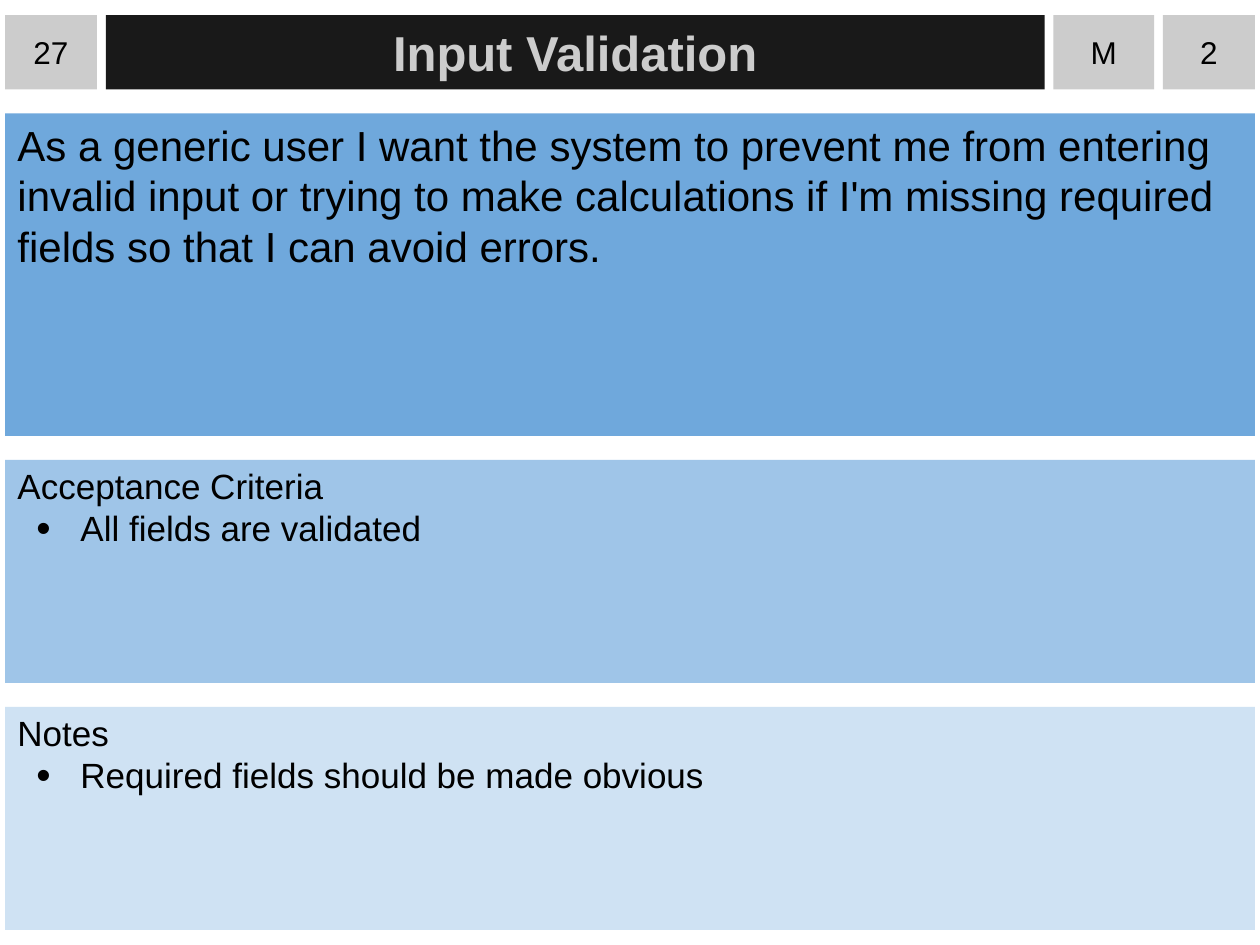
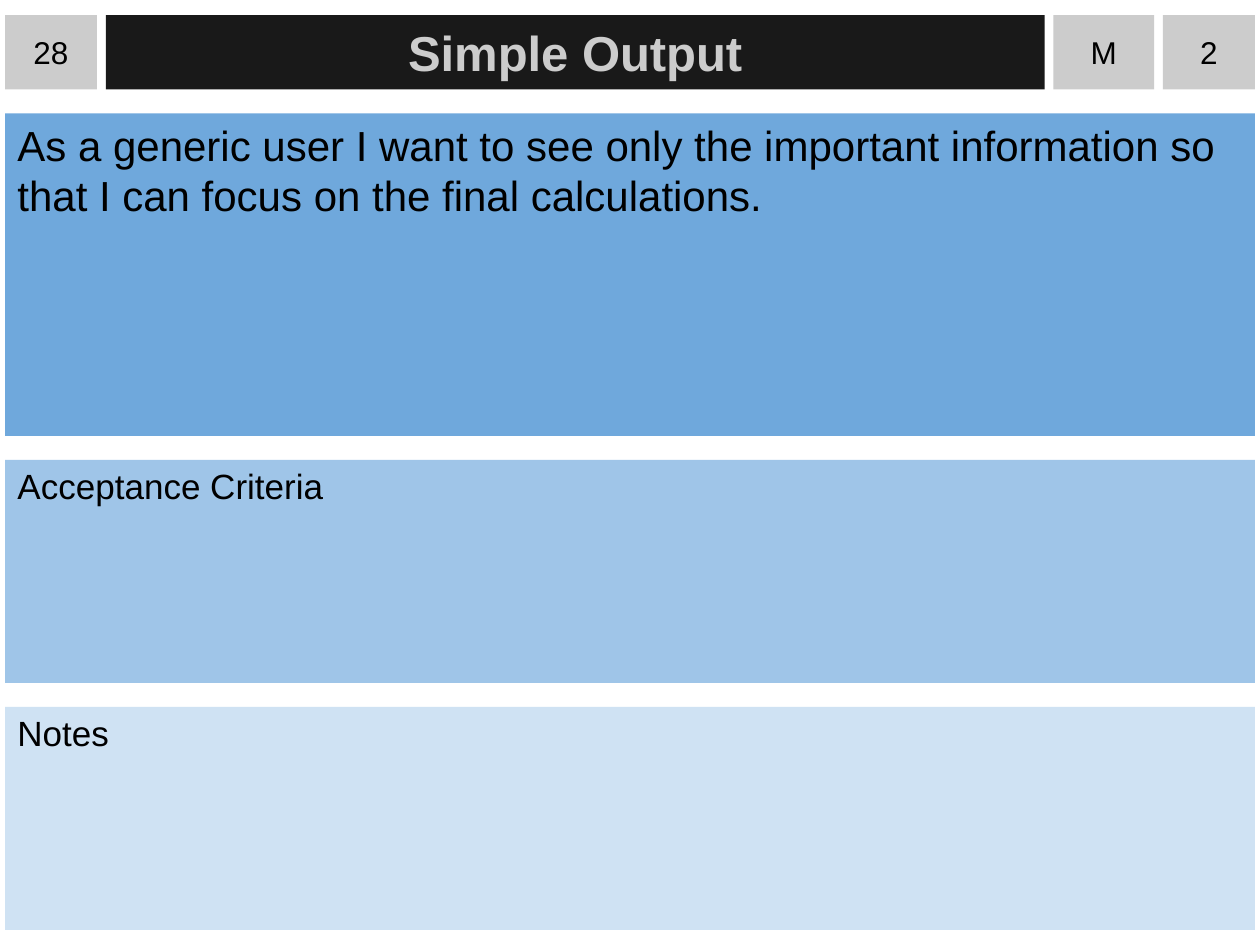
from lxml.etree import SubElement
from pptx import Presentation
from pptx.dml.color import RGBColor
from pptx.enum.shapes import MSO_SHAPE
from pptx.enum.text import MSO_ANCHOR, PP_ALIGN
from pptx.oxml.ns import qn
from pptx.util import Pt

FONT = "Arial"
BLACK, DARK, GREY = "000000", "191919", "CCCCCC"
STORY_BLUE, CRITERIA_BLUE, NOTES_BLUE = "6FA8DC", "9FC5E8", "CFE2F3"

LEFT, TOP, WIDTH = 2.88, 8.64, 714.24
BADGE_W, PRIORITY_W = 52.56, 57.6
HEADER_H, STORY_H, LIST_H = 42.48, 184.32, 127.44
COLUMN_GAP, ROW_GAP = 5.04, 13.68

CARDS = [
    {
        "number": "27",
        "title": "Input Validation",
        "priority": "M",
        "points": "2",
        "story": "As a generic user I want the system to prevent me from entering "
                 "invalid input or trying to make calculations if I'm missing "
                 "required fields so that I can avoid errors.",
        "criteria": ["All fields are validated"],
        "notes": ["Required fields should be made obvious"],
    },
    {
        "number": "28",
        "title": "Simple Output",
        "priority": "M",
        "points": "2",
        "story": "As a generic user I want to see only the important information "
                 "so that I can focus on the final calculations.",
        "criteria": [],
        "notes": [],
    },
]


def color(hex_string):
    return RGBColor.from_string(hex_string)


def add_panel(s, box, fill, anchor=MSO_ANCHOR.TOP, side=7.2, top=3.6):
    sp = s.shapes.add_shape(MSO_SHAPE.RECTANGLE, *(Pt(v) for v in box))
    sp.shadow.inherit = False
    sp.fill.solid()
    sp.fill.fore_color.rgb = color(fill)
    sp.line.fill.background()
    tf = sp.text_frame
    tf.word_wrap = True
    tf.vertical_anchor = anchor
    tf.margin_left = tf.margin_right = Pt(side)
    tf.margin_top, tf.margin_bottom = Pt(top), Pt(3.6)
    return tf


def add_run(p, text, size, font_color=BLACK, bold=False, align=PP_ALIGN.LEFT):
    p.alignment = align
    r = p.add_run()
    r.text = text
    r.font.name = FONT
    r.font.size = Pt(size)
    r.font.bold = bold
    r.font.color.rgb = color(font_color)


def set_bullet(p):
    pPr = p._p.get_or_add_pPr()
    pPr.set("marL", str(Pt(36)))
    pPr.set("indent", str(Pt(-25.2)))
    bullet_color = SubElement(pPr, qn("a:buClr"))
    SubElement(bullet_color, qn("a:srgbClr"), val=BLACK)
    SubElement(pPr, qn("a:buSzPct"), val="117000")
    SubElement(pPr, qn("a:buFont"), typeface=FONT)
    SubElement(pPr, qn("a:buChar"), char="•")


def add_header(s, box, card):
    x, y, width, height = box
    title_w = width - 2 * BADGE_W - PRIORITY_W - 3 * COLUMN_GAP
    cells = [
        (card["number"], BADGE_W, False),
        (card["title"], title_w, True),
        (card["priority"], PRIORITY_W, False),
        (card["points"], BADGE_W, False),
    ]
    for text, cell_w, is_title in cells:
        tf = add_panel(s, (x, y, cell_w, height), DARK if is_title else GREY,
                       MSO_ANCHOR.MIDDLE, side=7.2 if is_title else 0)
        add_run(tf.paragraphs[0], text, 28 if is_title else 18,
                GREY if is_title else BLACK, is_title, PP_ALIGN.CENTER)
        x += cell_w + COLUMN_GAP


def add_story(s, box, text):
    tf = add_panel(s, box, STORY_BLUE)
    add_run(tf.paragraphs[0], text, 24)


def add_list(s, box, fill, heading, items):
    tf = add_panel(s, box, fill, top=2.88)
    add_run(tf.paragraphs[0], heading, 20)
    for item in items:
        p = tf.add_paragraph()
        add_run(p, item, 20)
        set_bullet(p)


def add_card(prs, card):
    s = prs.slides.add_slide(prs.slide_layouts[6])
    boxes = []
    y = TOP
    for height in (HEADER_H, STORY_H, LIST_H, LIST_H):
        boxes.append((LEFT, y, WIDTH, height))
        y += height + ROW_GAP
    header, story, criteria, notes = boxes
    add_header(s, header, card)
    add_story(s, story, card["story"])
    add_list(s, criteria, CRITERIA_BLUE, "Acceptance Criteria", card["criteria"])
    add_list(s, notes, NOTES_BLUE, "Notes", card["notes"])


def main():
    prs = Presentation()
    prs.slide_width, prs.slide_height = Pt(720), Pt(540)
    for card in CARDS:
        add_card(prs, card)
    prs.save("out.pptx")


if __name__ == "__main__":
    main()
